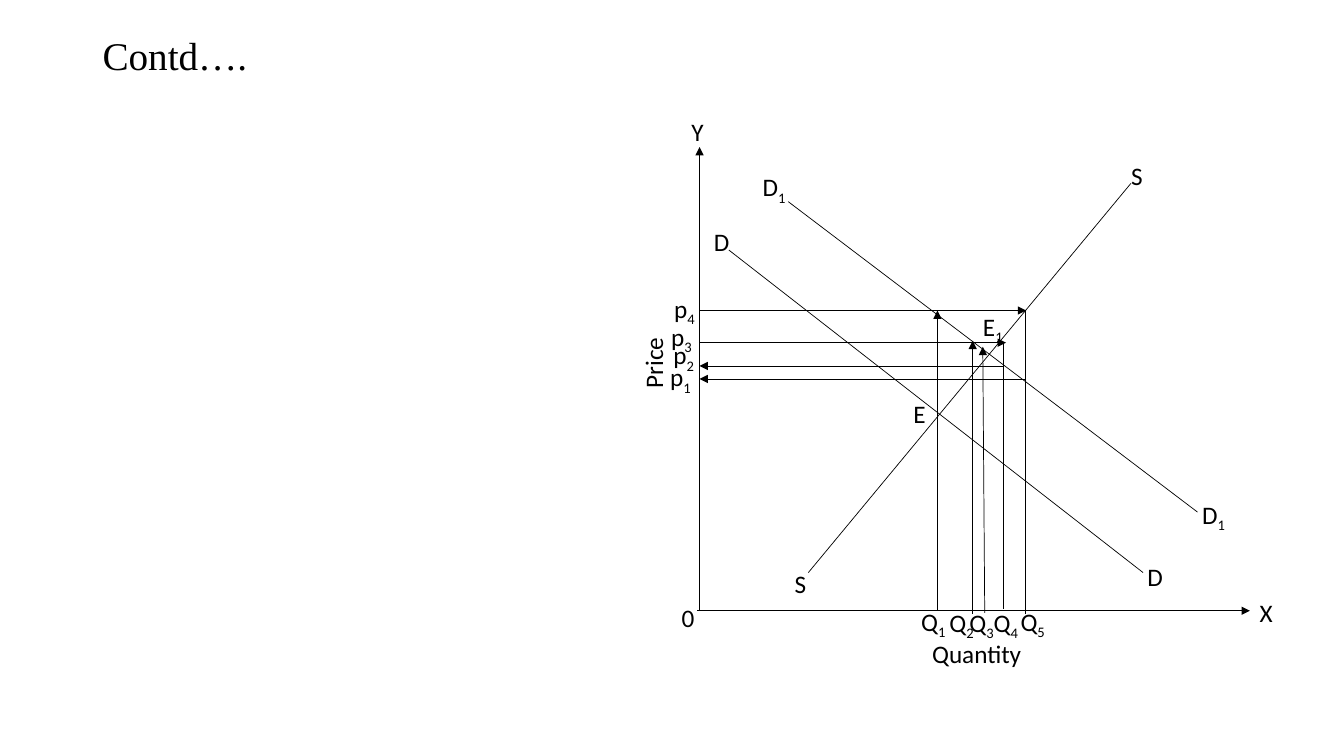
from lxml import etree
from pptx import Presentation
from pptx.dml.color import RGBColor
from pptx.enum.shapes import MSO_CONNECTOR
from pptx.enum.text import MSO_ANCHOR, PP_ALIGN
from pptx.oxml.ns import qn
from pptx.util import Pt

STRAIGHT = MSO_CONNECTOR.STRAIGHT
MIDDLE = MSO_ANCHOR.MIDDLE
LEFT, CENTER = PP_ALIGN.LEFT, PP_ALIGN.CENTER

COLORS = {"ink": "000000", "background": "FFFFFF"}
INK = RGBColor.from_string(COLORS["ink"])

# Axes, price levels and quantities, in points
AXIS_X, AXIS_Y = 499.7, 436.3
P1, P2, P3, P4 = 270.7, 261.4, 244.8, 221.8
Q1, Q2, Q4, Q5 = 669.6, 694.8, 716.4, 732.2

# Start x, start y, end x, end y
ARROWS = [
    (AXIS_X, AXIS_Y, AXIS_X, 105.1),
    (498.2, AXIS_Y, 892.8, AXIS_Y),
    (Q1, AXIS_Y, Q1, P4),
    (AXIS_X, P4, 733, P4),
    (733, P1, AXIS_X, P1),
    (Q2, 438.5, Q2, 243.4),
    (AXIS_X, P3, 718.6, P3),
    (Q4, P2, AXIS_X, P2),
    (703.4, 437.8, 702, 247.7),
]
PLAIN_LINES = [
    (520.6, 178.6, 816.5, 409),    # demand D
    (563, 144, 855.4, 365.8),      # demand D1
    (807.8, 131, 577.4, 409),      # supply S
    (Q5, P4, Q5, 438.5),
    (Q4, P3, Q4, 434.9),
]

# Text, subscript, left, top, width, height
LEFT_LABELS = [
    ("p", "1", 471.6, 256.3, 67.7, 28.8),
    ("p", "2", 473.8, 240.5, 35.3, 28.8),
    ("p", "3", 472.3, 227.5, 67.7, 28.8),
    ("p", "4", 474.5, 207.4, 67.7, 28.8),
    ("Q", "1", 650.9, 430.6, 38.2, 29.5),
]
CENTERED_LABELS = [
    ("Q", "2", 668.2, 434.9, 37.4, 22.3),
    ("Q", "3", 681.8, 437, 38.9, 18),
    ("Q", "5", 720, 436.3, 35.3, 18),
    ("Q", "4", 699.8, 437.8, 37.4, 15.8),
    ("D", "", 501.8, 162.7, 27.4, 19.4),
    ("D", "", 809.3, 401.8, 31.7, 20.2),
    ("D", "1", 532.8, 123.1, 40.3, 23.8),
    ("D", "1", 851, 354.2, 31.7, 28.8),
    ("S", "", 560.2, 406.8, 23, 20.2),
    ("S", "", 799.2, 115.9, 25.9, 19.4),
    ("0", "", 475.2, 432.7, 32.4, 17.3),
    ("Y", "", 480.2, 86.4, 36, 15.1),
    ("X", "", 891.4, 428.4, 25.9, 18),
    ("E", "", 643, 285.8, 27.4, 19.4),
    ("E", "1", 691.2, 226.1, 36, 17.3),
    ("Quantity", "", 656.6, 457.2, 82.1, 19.4),
]


def add_line(slide, start_x, start_y, end_x, end_y, arrow=False):
    connector = slide.shapes.add_connector(
        STRAIGHT, Pt(start_x), Pt(start_y), Pt(end_x), Pt(end_y))
    connector.line.color.rgb = INK
    connector.line.width = Pt(0.5)
    if arrow:
        line = connector.line._get_or_add_ln()
        etree.SubElement(line, qn("a:tailEnd"), type="triangle")
    etree.SubElement(connector._element.spPr, qn("a:effectLst"))


def add_label(slide, text, subscript, left, top, width, height,
              align=LEFT, font="Calibri", size=18):
    shape = slide.shapes.add_textbox(Pt(left), Pt(top), Pt(width), Pt(height))
    frame = shape.text_frame
    frame.word_wrap = True
    frame.vertical_anchor = MIDDLE
    frame.margin_top = frame.margin_bottom = 0
    frame.margin_left = frame.margin_right = Pt(7.2 if align == LEFT else 0)
    paragraph = frame.paragraphs[0]
    paragraph.alignment = align
    paragraph.font.name = font
    paragraph.font.size = Pt(size)
    paragraph.font.color.rgb = INK
    paragraph.add_run().text = text
    if subscript:
        run = paragraph.add_run()
        run.text = subscript
        run._r.get_or_add_rPr().set("baseline", "-25000")
    return shape


def main():
    presentation = Presentation()
    presentation.slide_width = Pt(960)
    presentation.slide_height = Pt(540)
    slide = presentation.slides.add_slide(presentation.slide_layouts[6])
    fill = slide.background.fill
    fill.solid()
    fill.fore_color.rgb = RGBColor.from_string(COLORS["background"])

    # Title
    title = add_label(slide, "Contd….", "", 66.2, 28.8, 828, 25.2,
                      font="Times New Roman", size=28)
    title.text_frame.paragraphs[0].line_spacing = 0.9

    # Axes, curves and guide lines
    for points in ARROWS:
        add_line(slide, *points, arrow=True)
    for points in PLAIN_LINES:
        add_line(slide, *points)

    # Labels
    for label in LEFT_LABELS:
        add_label(slide, *label)
    for label in CENTERED_LABELS:
        add_label(slide, *label, align=CENTER)
    price = add_label(slide, "Price", "", 432.7, 236.2, 67.7, 28.8)
    price.rotation = 270

    presentation.save("out.pptx")


if __name__ == "__main__":
    main()
